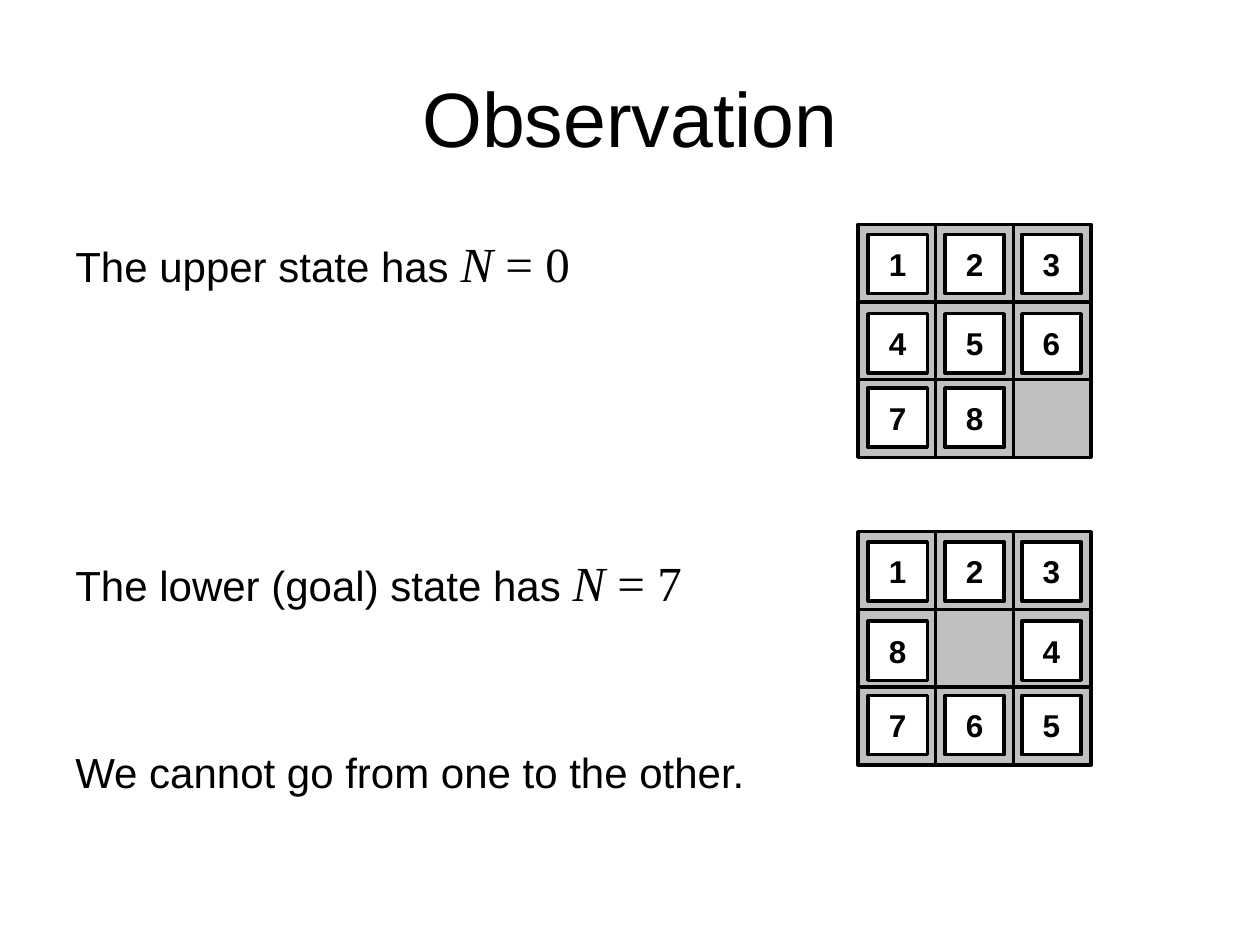
from lxml.etree import SubElement
from pptx import Presentation
from pptx.dml.color import RGBColor
from pptx.enum.shapes import MSO_CONNECTOR as Connector, MSO_SHAPE as Preset
from pptx.enum.text import MSO_ANCHOR as Anchor, PP_ALIGN as Align
from pptx.oxml.ns import qn
from pptx.util import Inches, Pt

WIDTH, HEIGHT = 10, 7.5
BLACK, WHITE, GREY = "000000", "FFFFFF", "C0C0C0"
BOARD_LEFT, BOARD_SIZE, TILE_SIZE = 6.81, 1.85, 0.47
COLUMN_OFFSETS = (0.08, 0.69, 1.3)
ROW_OFFSETS = (0.08, 0.71, 1.3)

PLAIN = {"name": "Arial", "size": Pt(24)}
MATH = {"name": "Times New Roman", "size": Pt(28)}
VARIABLE = {**MATH, "italic": True}
TITLE = {"name": "Arial", "size": Pt(44)}
DIGIT = {"name": "Arial", "size": Pt(18), "bold": True}

STATEMENTS = [
    (0, [("The upper state has ", PLAIN), ("N", VARIABLE), (" = 0", MATH)]),
    (149, [("The lower (goal) state has ", PLAIN), ("N", VARIABLE), (" = 7", MATH)]),
    (77.4, [("We cannot go from one to the other.", PLAIN)]),
]
BOARDS = [
    (4.22, ["123", "8 4", "765"]),
    (1.78, ["123", "456", "78 "]),
]


def set_color(target, value):
    target.rgb = RGBColor.from_string(value)


def apply_format(target, values):
    for name, value in values.items():
        setattr(target, name, value)


def add_span(para, text, values):
    span = para.add_run()
    span.text = text
    apply_format(span.font, values)
    set_color(span.font.color, BLACK)


def add_text_box(page, left, top, width, height, anchor):
    box = page.shapes.add_textbox(
        Inches(left * WIDTH), Inches(top * HEIGHT),
        Inches(width * WIDTH), Inches(height * HEIGHT))
    apply_format(box.text_frame, {"word_wrap": True, "vertical_anchor": anchor})
    return box.text_frame


def add_title(page, text):
    frame = add_text_box(page, 0.05, 0.04, 0.9, 1 / 6, Anchor.MIDDLE)
    para = frame.paragraphs[0]
    para.alignment = Align.CENTER
    add_span(para, text, TITLE)


def add_statements(page, statements):
    frame = add_text_box(page, 0.05, 0.24, 0.58, 0.65, Anchor.TOP)
    for index, (gap, spans) in enumerate(statements):
        para = frame.add_paragraph() if index else frame.paragraphs[0]
        para.space_before = Pt(gap)
        for text, values in spans:
            add_span(para, text, values)


def outline(shape):
    shape.line.width = Pt(2)
    set_color(shape.line.color, BLACK)


def add_square(group, left, top, size, fill):
    square = group.shapes.add_shape(
        Preset.RECTANGLE, Inches(left), Inches(top), Inches(size), Inches(size))
    square.shadow.inherit = False
    square.fill.solid()
    set_color(square.fill.fore_color, fill)
    outline(square)
    return square


def add_divider(group, start, end):
    divider = group.shapes.add_connector(
        Connector.STRAIGHT, *(Inches(value) for value in (*start, *end)))
    outline(divider)
    SubElement(divider.element.spPr, qn("a:effectLst"))


def add_tile(group, left, top, digit):
    frame = add_square(group, left, top, TILE_SIZE, WHITE).text_frame
    apply_format(frame, {"word_wrap": False, "vertical_anchor": Anchor.MIDDLE})
    para = frame.paragraphs[0]
    para.alignment = Align.CENTER
    add_span(para, digit, DIGIT)


def add_board(page, top, rows):
    group = page.shapes.add_group_shape()
    right, bottom = BOARD_LEFT + BOARD_SIZE, top + BOARD_SIZE
    add_square(group, BOARD_LEFT, top, BOARD_SIZE, GREY)
    steps = [BOARD_SIZE * part / 3 for part in (1, 2)]
    for step in steps:
        add_divider(group, (BOARD_LEFT + step, top), (BOARD_LEFT + step, bottom))
    for step in steps:
        add_divider(group, (BOARD_LEFT, top + step), (right, top + step))
    for row_offset, digits in zip(ROW_OFFSETS, rows):
        for column_offset, digit in zip(COLUMN_OFFSETS, digits):
            if digit != " ":
                add_tile(group, BOARD_LEFT + column_offset, top + row_offset, digit)


def main():
    deck = Presentation()
    apply_format(deck, {"slide_width": Inches(WIDTH), "slide_height": Inches(HEIGHT)})
    page = deck.slides.add_slide(deck.slide_layouts[6])
    add_title(page, "Observation")
    add_statements(page, STATEMENTS)
    for top, rows in BOARDS:
        add_board(page, top, rows)
    deck.save("out.pptx")


if __name__ == "__main__":
    main()
